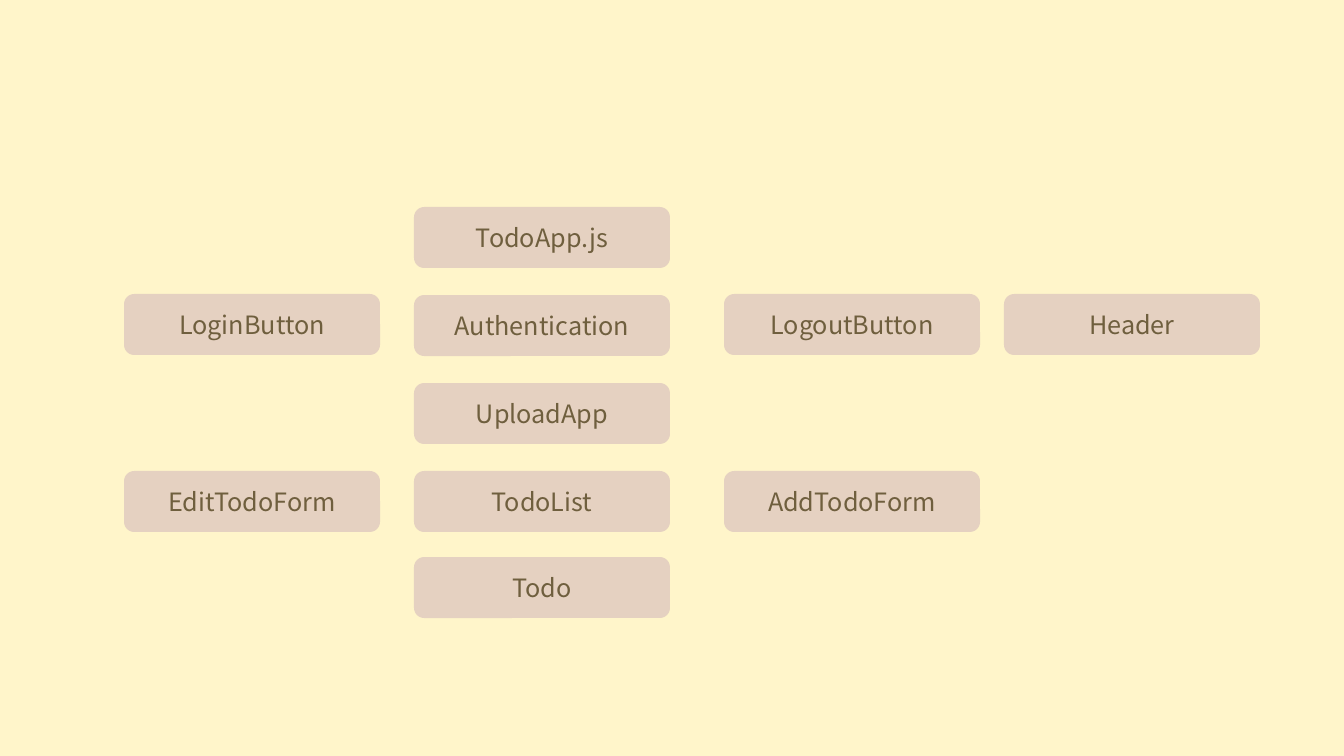
import pptx
import pptx.dml.color
import pptx.enum.shapes
import pptx.enum.text
import pptx.util

EMU_PER_PX = 914400 / 100.8
CREAM = pptx.dml.color.RGBColor(0xFF, 0xF5, 0xCA)
BEIGE = pptx.dml.color.RGBColor(0xE5, 0xD1, 0xC1)
BROWN = pptx.dml.color.RGBColor(0x6F, 0x5F, 0x3E)
FONT = "Noto Sans CJK JP"

BOX_WIDTH, BOX_HEIGHT = 256, 61
LEFT, MAIN, RIGHT, FAR_RIGHT = 124, 414, 724, 1004
COMPONENTS = [
    ("TodoApp.js", MAIN, 207),
    ("LogoutButton", RIGHT, 294),
    ("Authentication", MAIN, 295),
    ("Header", FAR_RIGHT, 294),
    ("LoginButton", LEFT, 294),
    ("UploadApp", MAIN, 383),
    ("TodoList", MAIN, 471),
    ("EditTodoForm", LEFT, 471),
    ("AddTodoForm", RIGHT, 471),
    ("Todo", MAIN, 557),
]


def px(length):
    """Turn a length in px into EMU."""
    return pptx.util.Emu(round(length * EMU_PER_PX))


def write_text(shape, text, *, size, color, font, align, anchor):
    frame = shape.text_frame
    frame.word_wrap = True
    frame.vertical_anchor = anchor
    para = frame.paragraphs[0]
    para.alignment = align
    span = para.add_run()
    span.text = text
    span.font.size = pptx.util.Pt(size)
    span.font.name = font
    span.font.color.rgb = color


deck = pptx.Presentation()
deck.slide_width, deck.slide_height = px(1344), px(756)
page = deck.slides.add_slide(deck.slide_layouts[6])
page.background.fill.solid()
page.background.fill.fore_color.rgb = CREAM

for label, left, top in COMPONENTS:
    box = page.shapes.add_shape(
        pptx.enum.shapes.MSO_SHAPE.ROUNDED_RECTANGLE,
        px(left), px(top), px(BOX_WIDTH), px(BOX_HEIGHT),
    )
    box.shadow.inherit = False
    box.fill.solid()
    box.fill.fore_color.rgb = BEIGE
    box.line.fill.background()
    write_text(
        box, label, size=18, color=BROWN, font=FONT,
        align=pptx.enum.text.PP_ALIGN.CENTER,
        anchor=pptx.enum.text.MSO_ANCHOR.MIDDLE,
    )

deck.save("out.pptx")
